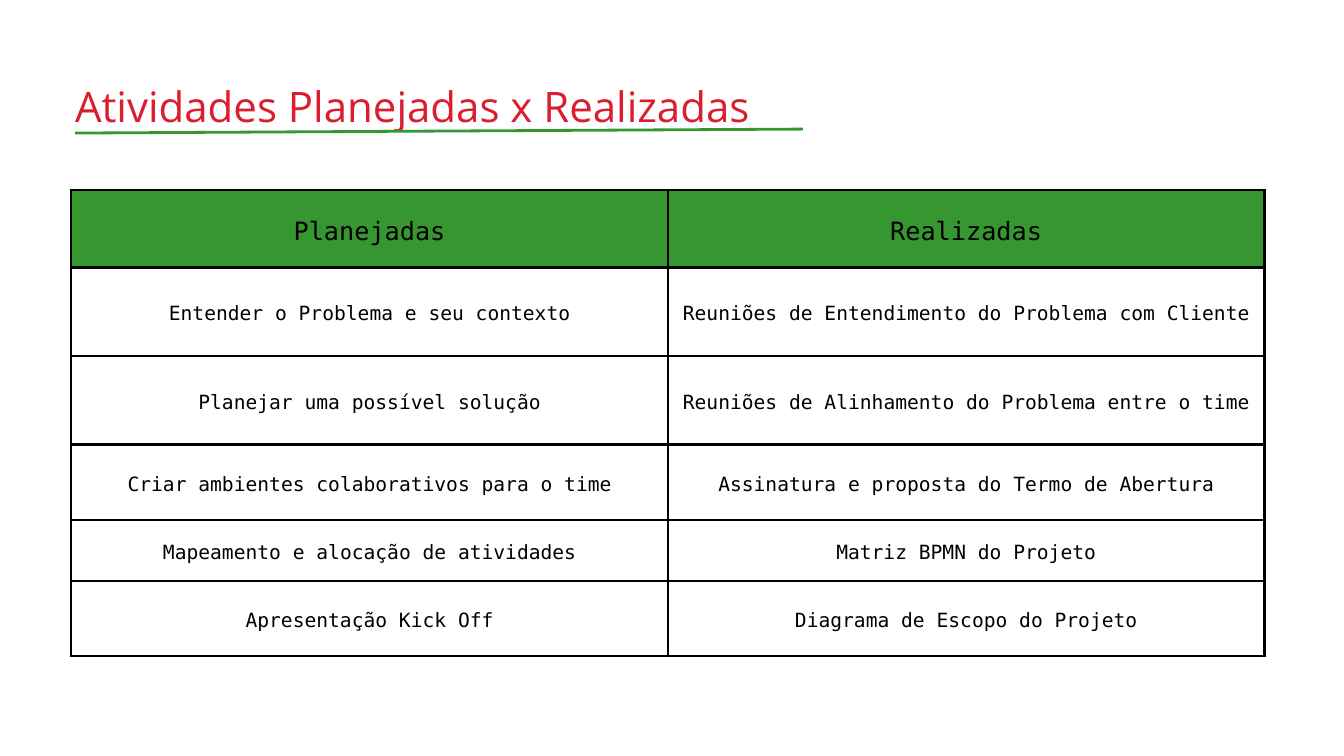
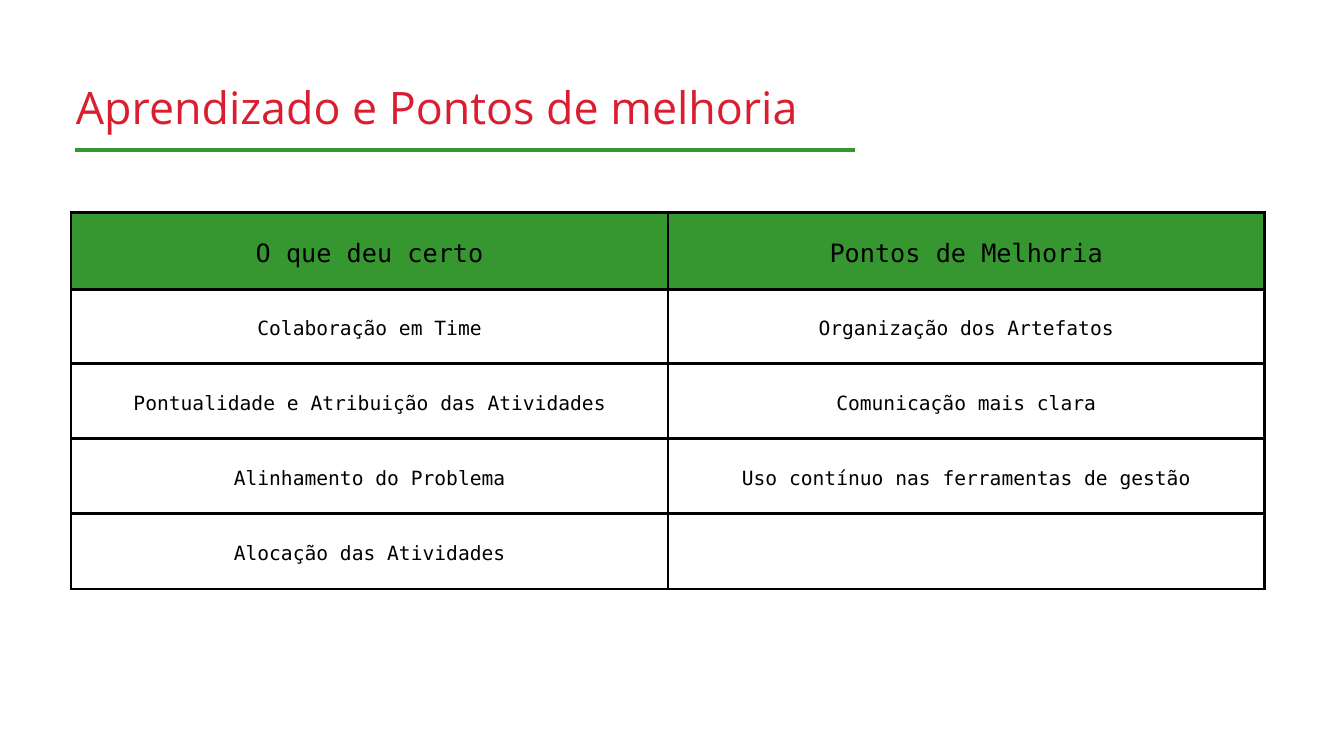
from lxml import etree
from pptx import Presentation
from pptx.dml.color import RGBColor
from pptx.enum import shapes, text
from pptx.oxml import ns
from pptx.util import Cm, Pt

RED = RGBColor(0xDB, 0x1E, 0x2F)
GREEN = RGBColor(0x36, 0x97, 0x30)
BLACK = RGBColor(0, 0, 0)
LEFT, WIDE, INSET = Cm(2.69), Cm(22.55), Cm(0.53)
LEADING = 1.4
SIDES = ("left", "right", "top", "bottom")
CELL = {f"margin_{side}": INSET for side in SIDES}
CELL["vertical_anchor"] = text.MSO_ANCHOR.MIDDLE
FRAME = {f"margin_{side}": 0 for side in SIDES}
FRAME.update(word_wrap=True, auto_size=text.MSO_AUTO_SIZE.SHAPE_TO_FIT_TEXT)

PAGES = [
    {
        "title": "Atividades Planejadas x Realizadas",
        "size": 45,
        "box": (2.84, 2.72, 28.09, 2.13),
        "rule": (2.84, 5.03, 30.35, 4.88),
        "weight": 3,
        "top": 7.19,
        "tall": (2.92, 3.35, 3.35, 2.84, 2.31, 2.84),
        "rows": [
            ("Planejadas", "Realizadas"),
            ("Entender o Problema e seu contexto",
             "Reuniões de Entendimento do Problema com Cliente"),
            ("Planejar uma possível solução",
             "Reuniões de Alinhamento do Problema entre o time"),
            ("Criar ambientes colaborativos para o time",
             "Assinatura e proposta do Termo de Abertura"),
            ("Mapeamento e alocação de atividades", "Matriz BPMN do Projeto"),
            ("Apresentação Kick Off", "Diagrama de Escopo do Projeto"),
        ],
    },
    {
        "title": "Aprendizado e Pontos de melhoria",
        "size": 48,
        "box": (2.87, 2.67, 29.46, 2.18),
        "rule": (2.84, 5.66, 32.33, 5.66),
        "weight": 4,
        "top": 8.03,
        "tall": (2.92, 2.79, 2.84, 2.84, 2.84),
        "rows": [
            ("O que deu certo", "Pontos de Melhoria"),
            ("Colaboração em Time", "Organização dos Artefatos"),
            ("Pontualidade e Atribuição das Atividades", "Comunicação mais clara"),
            ("Alinhamento do Problema", "Uso contínuo nas ferramentas de gestão"),
            ("Alocação das Atividades", ""),
        ],
    },
]


def style(frame, words, face, size, color, align):
    para = frame.paragraphs[0]
    if words:
        para.add_run().text = words
    para.alignment = align
    para.line_spacing = Pt(size * LEADING)
    for part in [para, *para.runs]:
        part.font.name = face
        part.font.size = Pt(size)
        part.font.color.rgb = color


def border(cell):
    props = cell._tc.get_or_add_tcPr()
    for tag in ("lnL", "lnR", "lnT", "lnB"):
        line = etree.SubElement(props, ns.qn(f"a:{tag}"), w=str(Pt(3)))
        fill = etree.SubElement(line, ns.qn("a:solidFill"))
        etree.SubElement(fill, ns.qn("a:srgbClr"), val=str(BLACK))


deck = Presentation()
deck.slide_width, deck.slide_height = Cm(50.8), Cm(28.58)

for page in PAGES:
    slide = deck.slides.add_slide(deck.slide_layouts[6])

    frame = slide.shapes.add_textbox(*map(Cm, page["box"])).text_frame
    for key, value in FRAME.items():
        setattr(frame, key, value)
    style(frame, page["title"], "Open Sans", page["size"], RED, text.PP_ALIGN.LEFT)

    rule = slide.shapes.add_connector(
        shapes.MSO_CONNECTOR.STRAIGHT, *map(Cm, page["rule"]))
    rule.line.color.rgb = GREEN
    rule.line.width = Pt(page["weight"])
    etree.SubElement(rule._element.spPr, ns.qn("a:effectLst"))

    rows, tall = page["rows"], page["tall"]
    table = slide.shapes.add_table(
        len(rows), 2, LEFT, Cm(page["top"]), WIDE * 2, Cm(sum(tall))).table
    table.first_row = table.horz_banding = False
    for col in table.columns:
        col.width = WIDE
    for r, (row, high) in enumerate(zip(rows, tall)):
        table.rows[r].height = Cm(high)
        for c, words in enumerate(row):
            cell = table.cell(r, c)
            for key, value in CELL.items():
                setattr(cell, key, value)
            border(cell)
            if r == 0:
                cell.fill.solid()
                cell.fill.fore_color.rgb = GREEN
            else:
                cell.fill.background()
            style(cell.text_frame, words, "DejaVu Sans Mono",
                  21 if r else 27, BLACK, text.PP_ALIGN.CENTER)

deck.save("out.pptx")
